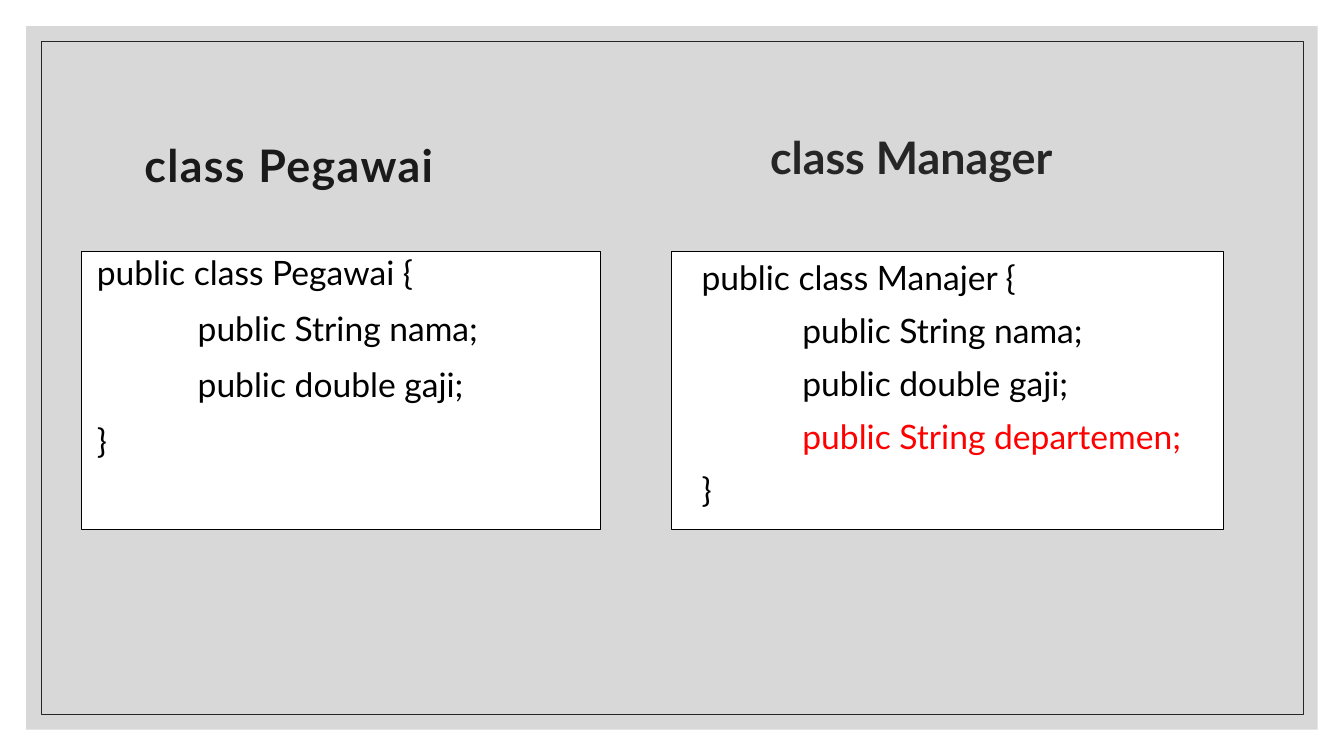
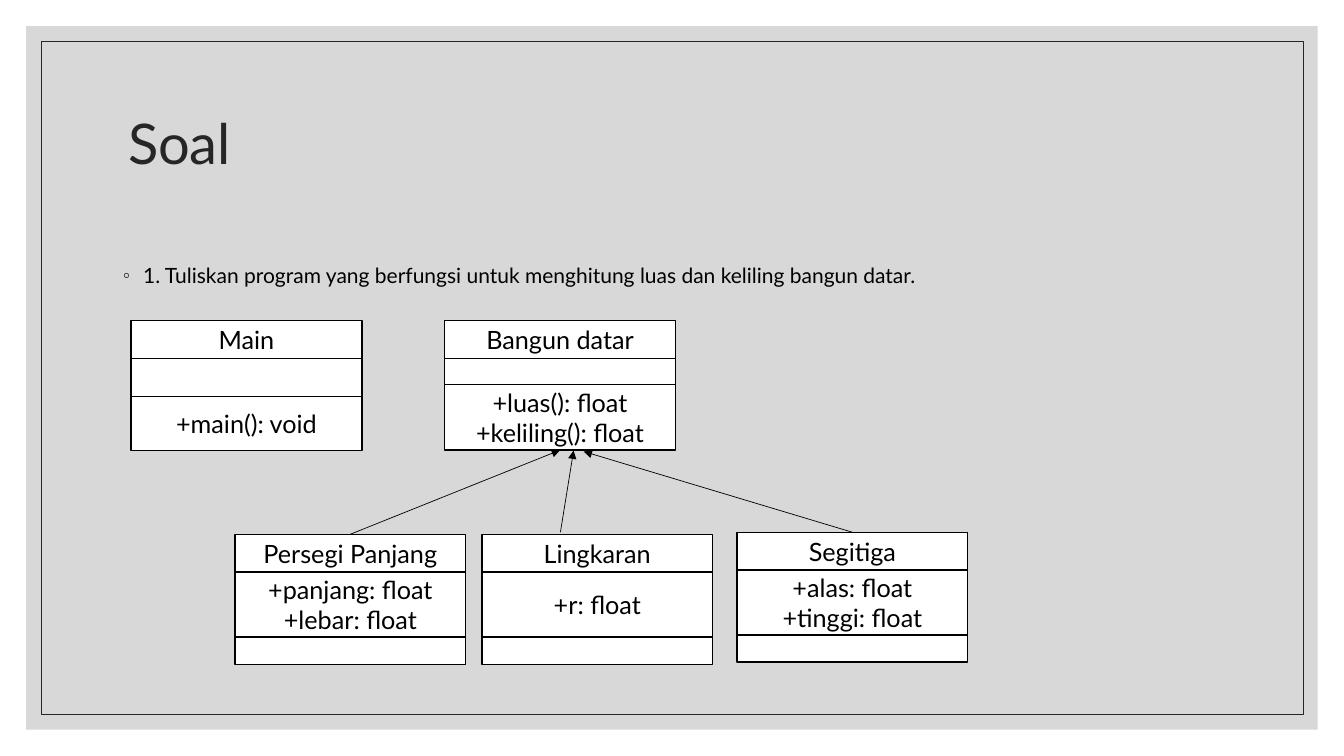
"""Build two slides on Java inheritance: two class listings and a class diagram exercise."""
from dataclasses import dataclass

from lxml import etree
from pptx import Presentation
from pptx.dml.color import RGBColor
from pptx.enum.shapes import MSO_CONNECTOR, MSO_SHAPE
from pptx.enum.text import MSO_ANCHOR, MSO_AUTO_SIZE, PP_ALIGN
from pptx.oxml.ns import qn
from pptx.util import Inches, Pt

RECTANGLE = MSO_SHAPE.RECTANGLE
STRAIGHT = MSO_CONNECTOR.STRAIGHT
TOP, MIDDLE = MSO_ANCHOR.TOP, MSO_ANCHOR.MIDDLE
LEFT, CENTER = PP_ALIGN.LEFT, PP_ALIGN.CENTER
TOP_SIDE, BOTTOM_SIDE = 0, 2


@dataclass(frozen=True)
class Theme:
    font: str = "Lato"
    paper: str = "FFFFFF"
    band: str = "BFBFBF"
    ink: str = "000000"
    title: str = "262626"
    heading: str = "1A1A1A"
    accent: str = "FF0000"
    title_size: int = 40
    heading_size: int = 32
    code_size: int = 24
    cell_size: int = 18
    body_size: int = 15


theme = Theme()
presentation = Presentation()
presentation.slide_width, presentation.slide_height = Inches(13.33), Inches(7.5)
column = presentation.slide_width / 100
row = presentation.slide_height / 100


def place(shape, left, top, width, height, fill=None, line=None, weight=0.75):
    """Set a shape on the grid of 100 columns and rows and paint it."""
    shape.left, shape.top = int(left * column), int(top * row)
    shape.width, shape.height = int(width * column), int(height * row)
    if fill:
        shape.fill.solid()
        shape.fill.fore_color.rgb = RGBColor.from_string(fill)
    else:
        shape.fill.background()
    if line:
        shape.line.color.rgb = RGBColor.from_string(line)
        shape.line.width = Pt(weight)
    else:
        shape.line.fill.background()
    return shape


def write(shape, text, size, color=theme.ink, bold=False, align=LEFT, anchor=TOP, spacing=1.0,
          before=0, after=0, margin=0, hanging=0, bullet=None, tracking=0):
    """Add one formatted paragraph to a shape."""
    frame = shape.text_frame
    frame.word_wrap, frame.auto_size = True, MSO_AUTO_SIZE.NONE
    frame.vertical_anchor = anchor
    paragraph = frame.add_paragraph() if frame.text else frame.paragraphs[0]
    paragraph.alignment, paragraph.line_spacing = align, spacing
    paragraph.space_before, paragraph.space_after = Pt(before), Pt(after)
    properties = paragraph._p.get_or_add_pPr()
    properties.set("marL", str(Inches(margin)))
    properties.set("indent", str(-Inches(hanging)))
    if bullet:
        bullet_color = etree.SubElement(properties, qn("a:buClr"))
        etree.SubElement(bullet_color, qn("a:srgbClr"), val=theme.title)
        etree.SubElement(properties, qn("a:buChar"), char=bullet)
    else:
        etree.SubElement(properties, qn("a:buNone"))
    run = paragraph.add_run()
    run.text = text
    run.font.name, run.font.size, run.font.bold = theme.font, Pt(size), bold
    run.font.color.rgb = RGBColor.from_string(color)
    if tracking:
        run._r.get_or_add_rPr().set("spc", str(tracking * 100))


layout = presentation.slide_layouts[1]
listing_slide = presentation.slides.add_slide(layout)
exercise_slide = presentation.slides.add_slide(layout)

master_tree = presentation.slide_master.shapes.element
frames = [(1.95, 3.47, theme.band, None), (3.05, 5.45, None, theme.title)]
for index, (side, edge, fill, line) in enumerate(frames):
    shape = listing_slide.shapes.add_shape(RECTANGLE, 0, 0, 0, 0)
    shape.shadow.inherit = False
    place(shape, side, edge, 100 - 2 * side, 100 - 2 * edge, fill, line, 0.5)
    if fill:
        shade = shape.element.find(".//" + qn("a:srgbClr"))
        etree.SubElement(shade, qn("a:alpha"), val="60000")
    shape.element.nvSpPr.cNvPr.set("id", str(100 + index))
    master_tree.insert(2 + index, shape.element)

title = place(listing_slide.shapes.title, 56.55, 10.27, 40, 21.87)
write(title, "class Manager", theme.heading_size, theme.title, bold=True, anchor=MIDDLE,
      spacing=0.9)
heading = place(listing_slide.shapes.add_textbox(0, 0, 0, 0), 10, 11.47, 40, 21.87)
write(heading, "class Pegawai", theme.heading_size, theme.heading, bold=True, anchor=MIDDLE,
      spacing=0.8, tracking=1)

manager_panel = listing_slide.placeholders[1]
employee_panel = listing_slide.shapes.add_textbox(0, 0, 0, 0)
employee_frame = employee_panel.text_frame
employee_frame.margin_left = employee_frame.margin_right = Inches(0.05)
fields = ["public String nama;", "public double gaji;"]
panels = [
    (manager_panel, 49.95, 41.1, "Manajer", fields + ["public String departemen;"], 0.2,
     {"before": 9}),
    (employee_panel, 6.08, 38.63, "Pegawai", fields, 0.1,
     {"spacing": 0.9, "before": 12, "after": 2}),
]
for panel, left, width, name, members, margin, rhythm in panels:
    place(panel, left, 33.33, width, 36.67, theme.paper, theme.ink)
    write(panel, f"public class {name} {{", theme.code_size, margin=margin, **rhythm)
    for member in members:
        color = theme.ink if member in fields else theme.accent
        write(panel, member, theme.code_size, color, margin=margin + 1, **rhythm)
    write(panel, "}", theme.code_size, margin=margin, **rhythm)

title = place(exercise_slide.shapes.title, 8.78, 9.33, 82.5, 20)
write(title, "Soal", theme.title_size, theme.title, anchor=MIDDLE, spacing=0.9)
task = place(exercise_slide.placeholders[1], 8.4, 33.73, 79.72, 58.67)
write(task, "1. Tuliskan program yang berfungsi untuk menghitung luas dan keliling bangun datar.",
      theme.body_size, spacing=1.1, before=9, margin=0.2, hanging=0.2, bullet="◦")

class_width, name_height = 17.18, 5
classes = [
    ("Bangun datar", 33.08, 42.4, [(3.47, []), (8.67, ["+luas(): float", "+keliling(): float"])]),
    ("Persegi Panjang", 17.48, 70.67, [(8.6, ["+panjang: float", "+lebar: float"]), (3.6, [])]),
    ("Lingkaran", 35.85, 70.67, [(8.6, ["+r: float"]), (3.6, [])]),
    ("Main", 9.75, 42.4, [(5.05, []), (7.15, ["+main(): void"])]),
    ("Segitiga", 54.83, 70.4, [(8.6, ["+alas: float", "+tinggi: float"]), (3.6, [])]),
]
class_cells = {}
for name, left, top, compartments in classes:
    cells = []
    for height, lines in [(name_height, [name])] + compartments:
        cell = exercise_slide.shapes.add_shape(RECTANGLE, 0, 0, 0, 0)
        cell.shadow.inherit = False
        place(cell, left, top, class_width, height, theme.paper, theme.ink, 1)
        cell.text_frame.margin_top = cell.text_frame.margin_bottom = 0
        for line in lines:
            write(cell, line, theme.cell_size, align=CENTER, anchor=MIDDLE)
        cells.append(cell)
        top += height
    exercise_slide.shapes.add_group_shape(cells)
    class_cells[name] = cells

parent = class_cells["Bangun datar"][-1]
arrows = [
    ("Persegi Panjang", (26.07, 70.67), (41.67, 59.54), True, True),
    ("Lingkaran", (41.7, 70.4), (42.68, 59.6), False, False),
    ("Segitiga", (63.42, 70.4), (43.43, 59.73), True, False),
]
for name, start, end, joins_child, joins_parent in arrows:
    ends = [int(share * unit) for point in (start, end) for share, unit in zip(point, (column, row))]
    arrow = exercise_slide.shapes.add_connector(STRAIGHT, *ends)
    if joins_child:
        arrow.begin_connect(class_cells[name][0], TOP_SIDE)
    if joins_parent:
        arrow.end_connect(parent, BOTTOM_SIDE)
    arrow.line.color.rgb = RGBColor.from_string(theme.ink)
    arrow.line.width = Pt(0.5)
    etree.SubElement(arrow.line._get_or_add_ln(), qn("a:tailEnd"), type="triangle")
    etree.SubElement(arrow.element.spPr, qn("a:effectLst"))

presentation.save("out.pptx")
